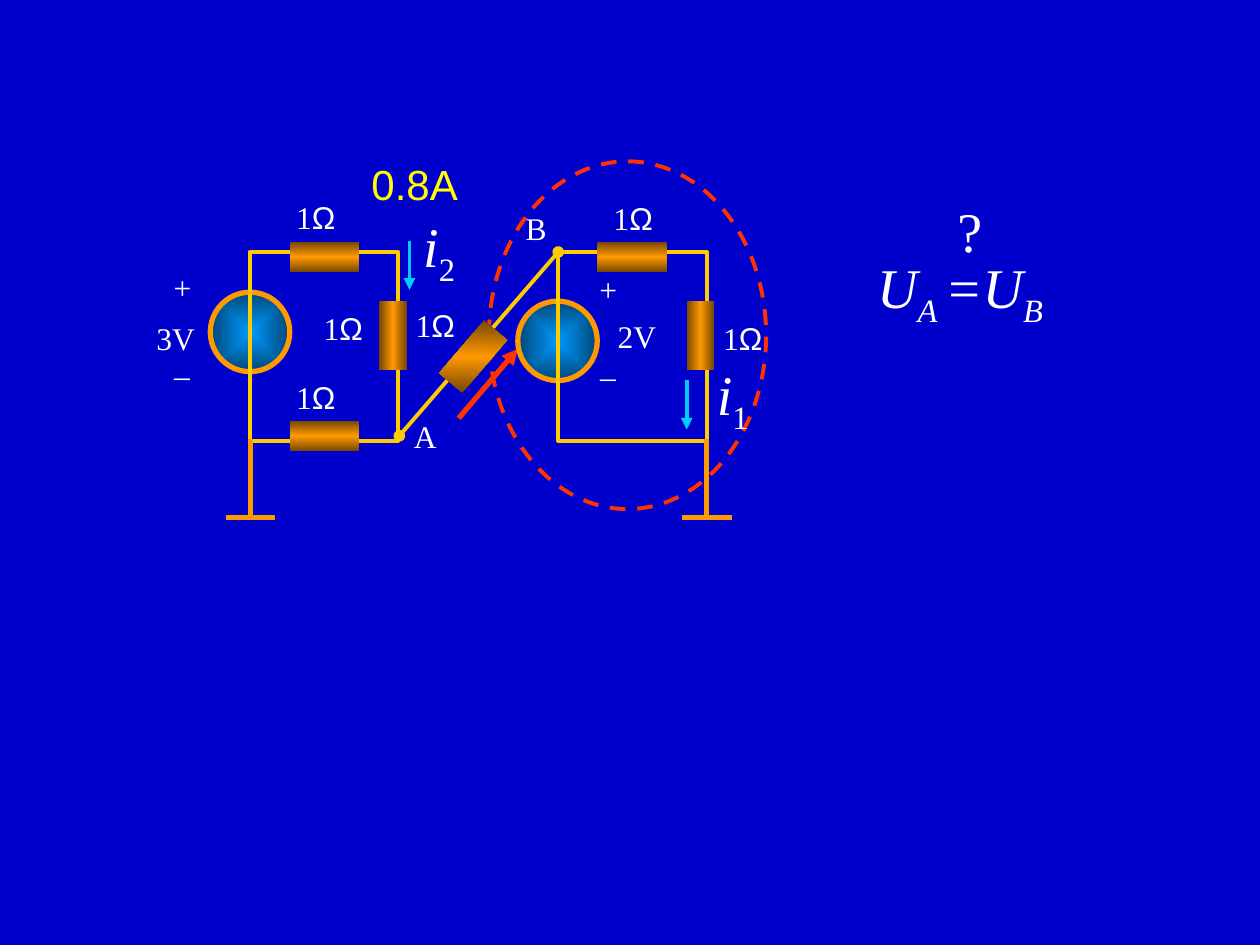
from lxml import etree
from pptx import Presentation
from pptx.dml.color import RGBColor
from pptx.enum import dml, shapes, text
from pptx.oxml import parse_xml
from pptx.oxml.ns import nsdecls, qn
from pptx.util import Pt

COLORS = {
    "background": "0000CC", "text": "FFFFFF", "wire": "FFCC00",
    "ground": "FF9900", "current": "00CCFF", "accent": "FF3300",
    "reading": "FFFF00", "source_light": "0099FF", "source_dark": "004776",
    "resistor_light": "FF9900", "resistor_dark": "764700",
}
SERIF, SANS = "Times New Roman", "Arial"

# Content: lengths in points
BOUNDARY = (279.4, 92.2, 158.4, 198.7)
LOOPS = [(142.6, 144), (319, 144)]
LOOP_SIZE = (85, 108)
SOURCES = [(295.9, 172.1), (120.2, 167)]
SOURCE_SIZE = 45.4
RESISTOR_LENGTH = 39.6
# left, top, thickness, upright, rotation, gradient angle
RESISTORS = [
    (341.3, 138.2, 17.3, False, 0, 90),
    (165.6, 240.5, 17.3, False, 0, 90),
    (165.6, 138.2, 17.3, False, 0, 90),
    (392.4, 172.1, 15.8, True, 0, 0),
    (216.7, 172.1, 15.8, True, 0, 0),
    (250.6, 195.1, 17.3, False, 310.5, 140),
]
# start, end, color, width, head, tail
PROBE = ((262.1, 239), (295.9, 199.4), "accent", 3, None, "triangle")
BRIDGE = ((228.2, 249.1), (319, 144), "wire", 2.25, "oval", "oval")
CURRENTS = [
    ((392.4, 217.4), (392.4, 245.5), "current", 2.25, None, "triangle"),
    ((234, 137.5), (234, 165.6), "current", 2.25, None, "triangle"),
]
GROUNDS = [403.9, 143.2]
GROUND_TOP, GROUND_BOTTOM, GROUND_HALF = 250.6, 295.9, 14.2

OHM = [("1", ""), ("Ω", "sans")]
# centre x, centre y, width, height, size, runs with their style
SMALL, LARGE = (28.8, 18), (51.1, 32)
LABELS = [
    (243, 249.1, 29.5, *SMALL, [("A", "")]),
    (306.4, 130.3, 32.4, *SMALL, [("B", "")]),
    (104, 164.2, 23.8, *SMALL, [("+", "")]),
    (104, 208.1, 23.8, *SMALL, [("_", "")]),
    (100.4, 193, 62.6, *SMALL, [("3V", "")]),
    (347.4, 164.9, 23.8, *SMALL, [("+", "")]),
    (347.4, 208.8, 23.8, *SMALL, [("_", "")]),
    (364, 192.2, 56.9, *SMALL, [("2V", "")]),
    (180.4, 123.8, 64.1, *SMALL, OHM),
    (196.2, 187.2, 64.1, *SMALL, OHM),
    (424.4, 193, 64.1, *SMALL, OHM),
    (361.8, 124.6, 64.1, *SMALL, OHM),
    (180.4, 226.8, 64.1, *SMALL, OHM),
    (248.8, 185.8, 64.1, *SMALL, OHM),
    (418.7, 227.2, 41, *LARGE, [("i", "italic"), ("1", "sub")]),
    (250.9, 142.9, 56.9, *LARGE, [("i", "italic"), ("2", "sub")]),
    (548.6, 166, 131, *LARGE, [("U", "italic"), ("A ", "italic sub"),
                               ("=U", "italic"), ("B", "italic sub")]),
    (551.9, 131.8, 23.8, 46.1, 32, [("?", "")]),
]
READING = ("0.8A", 205.2, 87.1, 67.7, 36)


def rgb(name):
    return RGBColor.from_string(COLORS[name])


def add_outline(slide, kind, left, top, width, height, line=None, weight=2.25):
    shape = slide.shapes.add_shape(kind, Pt(left), Pt(top), Pt(width), Pt(height))
    shape.shadow.inherit = False
    shape.fill.background()
    if line:
        shape.line.color.rgb = rgb(line)
        shape.line.width = Pt(weight)
    else:
        shape.line.fill.background()
    return shape


def set_gradient(shape, stops, direction):
    stop_xml = "".join(
        f'<a:gs pos="{position * 1000}"><a:srgbClr val="{COLORS[name]}"/></a:gs>'
        for position, name in stops)
    gradient = parse_xml(f'<a:gradFill {nsdecls("a")} rotWithShape="1">'
                         f'<a:gsLst>{stop_xml}</a:gsLst>{direction}</a:gradFill>')
    properties = shape.element.spPr
    properties.replace(properties.find(qn("a:noFill")), gradient)


def add_line(slide, start, end, color, weight, head=None, tail=None):
    line = slide.shapes.add_connector(
        shapes.MSO_CONNECTOR.STRAIGHT, *(Pt(value) for value in (*start, *end)))
    line.line.color.rgb = rgb(color)
    line.line.width = Pt(weight)
    for tag, kind in (("a:headEnd", head), ("a:tailEnd", tail)):
        if kind:
            etree.SubElement(line.line._get_or_add_ln(), qn(tag), type=kind)
    etree.SubElement(line.element.spPr, qn("a:effectLst"))


def add_text(slide, left, top, width, height, size, runs, color="text"):
    box = slide.shapes.add_textbox(Pt(left), Pt(top), Pt(width), Pt(height))
    frame = box.text_frame
    frame.word_wrap = True
    paragraph = frame.paragraphs[0]
    for content, style in runs:
        run = paragraph.add_run()
        run.text = content
        run.font.size = Pt(size)
        run.font.name = SANS if "sans" in style else SERIF
        run.font.italic = "italic" in style
        run.font.color.rgb = rgb(color)
        if "sub" in style:
            run.font._element.set("baseline", "-25000")
    return frame


presentation = Presentation()
presentation.slide_width, presentation.slide_height = Pt(720), Pt(540)
slide = presentation.slides.add_slide(presentation.slide_layouts[6])
slide.background.fill.solid()
slide.background.fill.fore_color.rgb = rgb("background")
OVAL, RECTANGLE = shapes.MSO_SHAPE.OVAL, shapes.MSO_SHAPE.RECTANGLE

# Dashed boundary and probe arrow
boundary = add_outline(slide, OVAL, *BOUNDARY, "accent")
boundary.line.dash_style = dml.MSO_LINE.DASH
add_line(slide, *PROBE)

# Voltage sources
for left, top in SOURCES:
    source = add_outline(slide, OVAL, left, top, SOURCE_SIZE, SOURCE_SIZE, "ground", 3)
    set_gradient(source, [(0, "source_light"), (100, "source_dark")],
                 '<a:path path="rect"><a:fillToRect l="50000" t="50000" '
                 'r="50000" b="50000"/></a:path>')

# Wires
add_line(slide, *BRIDGE)
for corner in LOOPS:
    add_outline(slide, RECTANGLE, *corner, *LOOP_SIZE, "wire")

# Resistors
for left, top, thickness, upright, rotation, angle in RESISTORS:
    size = (thickness, RESISTOR_LENGTH) if upright else (RESISTOR_LENGTH, thickness)
    resistor = add_outline(slide, RECTANGLE, left, top, *size)
    resistor.rotation = rotation
    set_gradient(resistor, [(0, "resistor_dark"), (50, "resistor_light"),
                            (100, "resistor_dark")],
                 f'<a:lin ang="{angle * 60000}" scaled="1"/>')

# Currents and grounds
for current in CURRENTS:
    add_line(slide, *current)
for x in GROUNDS:
    add_line(slide, (x, GROUND_TOP), (x, GROUND_BOTTOM), "ground", 3)
    add_line(slide, (x + GROUND_HALF, GROUND_BOTTOM),
             (x - GROUND_HALF, GROUND_BOTTOM), "ground", 3)

# Labels, centred on their points
for x, y, width, height, size, runs in LABELS:
    frame = add_text(slide, x - width / 2, y - height / 2, width, height, size, runs)
    frame.vertical_anchor = text.MSO_ANCHOR.MIDDLE
    frame.paragraphs[0].alignment = text.PP_ALIGN.CENTER

# Current reading
reading, *place = READING
add_text(slide, *place, 24, [(reading, "sans")], "reading")

presentation.save("out.pptx")
